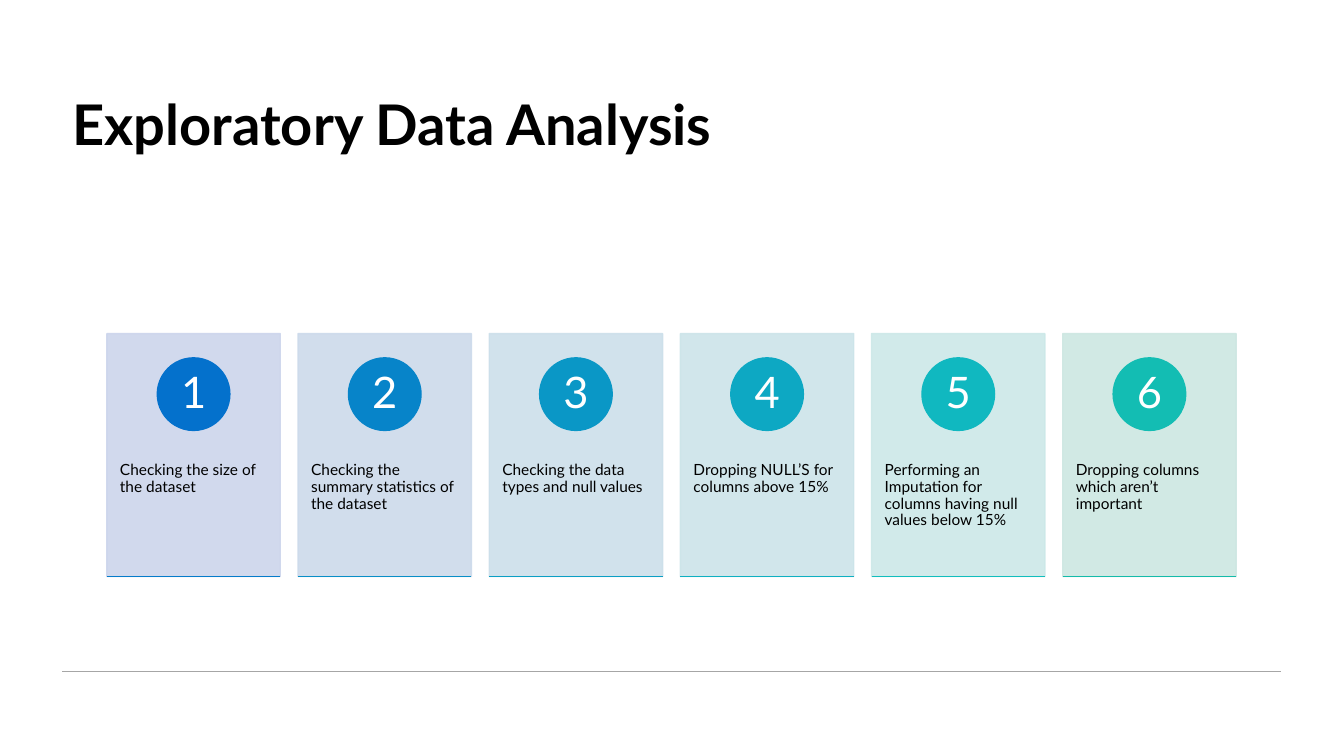
from lxml.etree import SubElement
from pptx import Presentation
from pptx.dml.color import RGBColor
from pptx.enum.shapes import MSO_CONNECTOR, MSO_SHAPE
from pptx.enum.text import MSO_ANCHOR, MSO_AUTO_SIZE, PP_ALIGN
from pptx.oxml.ns import qn
from pptx.util import Inches, Pt


def paint(fill, color, alpha=100):
    fill.solid()
    fill.fore_color.rgb = RGBColor.from_string(color)
    if alpha < 100:
        for tone in fill._xPr.iter(qn("a:srgbClr")):
            SubElement(tone, qn("a:alpha"), val=str(alpha * 1000))


def rule(left, top, width, color):
    line = slide.shapes.add_connector(
        MSO_CONNECTOR.STRAIGHT, Inches(left), Inches(top),
        Inches(left + width), Inches(top))
    line.line.width = Pt(1)
    paint(line.line.fill, color)
    SubElement(line._element.spPr, qn("a:effectLst"))


deck = Presentation()
deck.slide_width, deck.slide_height = Inches(13.33), Inches(7.5)
slide = deck.slides.add_slide(deck.slide_layouts[5])

# Title
title = slide.shapes.title
title.left, title.top = Inches(0.62), Inches(0.84)
title.width, title.height = Inches(8.02), Inches(1.39)
frame = title.text_frame
frame.text = "Exploratory Data Analysis"
frame.auto_size = MSO_AUTO_SIZE.NONE
frame.vertical_anchor = MSO_ANCHOR.TOP
par = frame.paragraphs[0]
par.alignment = PP_ALIGN.LEFT
par.font.name, par.font.size, par.font.bold = "Lato", Pt(40), True
paint(par.font.fill, "000000")

# Footer rule
rule(0.62, 6.66, 12.09, "A6A6A6")

# Steps: text, card, badge and base line colours
steps = [
    ("Checking the size of the dataset", "CCD5EC", "0471CC", "057BCA"),
    ("Checking the summary statistics of the dataset",
     "CCDAEB", "0784C9", "088EC7"),
    ("Checking the data types and null values",
     "CCDFEA", "0A97C6", "0B9FC4"),
    ("Dropping NULL’S for columns above 15%",
     "CCE4E9", "0DA8C3", "0EB0C1"),
    ("Performing an Imputation for columns having null values below 15%",
     "CCE8E8", "10B8C0", "11BEBD"),
    ("Dropping columns which aren’t important",
     "CDE7E2", "13BDB3", "14BBA9"),
]
top, wide, high, pitch, disc = 3.31, 1.72, 2.41, 1.896, 0.72

for i, (text, pale, deep, base) in enumerate(steps):
    left = 1.06 + i * pitch
    card = slide.shapes.add_shape(
        MSO_SHAPE.RECTANGLE, Inches(left), Inches(top),
        Inches(wide), Inches(high))
    badge = slide.shapes.add_shape(
        MSO_SHAPE.OVAL, Inches(left + (wide - disc) / 2), Inches(top + 0.24),
        Inches(disc), Inches(disc))

    # Card text starts below the badge
    for shape, words, color, alpha, ink, size, side, head, align, anchor in (
        (card, text, pale, 90, "000000", 11, 0.13, 1.28,
         PP_ALIGN.LEFT, MSO_ANCHOR.TOP),
        (badge, str(i + 1), deep, 100, "FFFFFF", 31, 0, 0,
         PP_ALIGN.CENTER, MSO_ANCHOR.MIDDLE),
    ):
        shape.shadow.inherit = False
        paint(shape.fill, color, alpha)
        shape.line.width = Pt(1)
        paint(shape.line.fill, color, alpha)
        frame = shape.text_frame
        frame.text = words
        frame.word_wrap = True
        frame.vertical_anchor = anchor
        frame.margin_left = frame.margin_right = Inches(side)
        frame.margin_top, frame.margin_bottom = Inches(head), 0
        par = frame.paragraphs[0]
        par.alignment, par.line_spacing = align, 0.9
        par.font.name, par.font.size = "Lato", Pt(size)
        paint(par.font.fill, ink)

    rule(left, top + high, wide, base)

deck.save("out.pptx")
